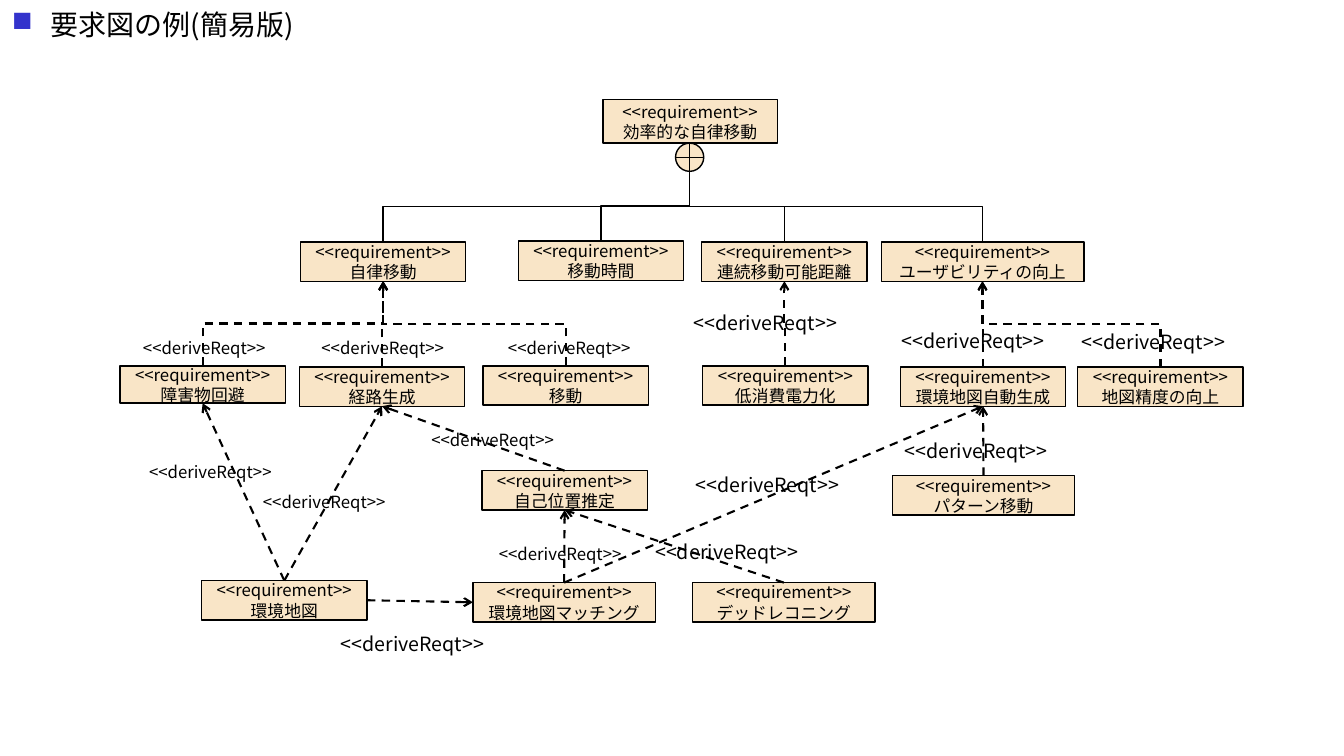
from dataclasses import dataclass

from lxml.etree import SubElement
from pptx import Presentation
from pptx.dml.color import RGBColor
from pptx.enum.dml import MSO_LINE
from pptx.enum.shapes import MSO_CONNECTOR, MSO_SHAPE
from pptx.enum.text import MSO_ANCHOR, MSO_AUTO_SIZE, PP_ALIGN
from pptx.oxml.ns import qn
from pptx.shapes.autoshape import Shape
from pptx.shapes.connector import Connector
from pptx.slide import Slide
from pptx.util import Emu, Pt

FONT = "Noto Sans CJK JP"
BLACK, CREAM, BLUE = "000000", "F9E5C7", "3333CC"
TOP, LEFT, BOTTOM, RIGHT = range(4)


@dataclass(frozen=True)
class Box:
    """A rectangle in px, with the name of its requirement."""
    name: str
    left: int
    top: int
    width: int = 164
    height: int = 39

    def side(self, side: int) -> tuple[float, float]:
        """Return the middle of one side."""
        middle_x, middle_y = self.left + self.width / 2, self.top + self.height / 2
        return ((middle_x, self.top), (self.left, middle_y),
                (middle_x, self.top + self.height), (self.left + self.width, middle_y))[side]


@dataclass(frozen=True)
class Link:
    """A line from one box to another."""
    source: str
    target: str
    bent: bool = False
    start: int = TOP
    end: int = BOTTOM
    derived: bool = True


@dataclass(frozen=True)
class Label:
    """The place and text size of a derivation label."""
    left: int
    top: int
    size: int = 12


ROOT = Box("効率的な自律移動", 598, 99, 173, 43)
CIRCLE = Box("⊕", 670, 142, 28, 28)
GOALS = [
    Box("自律移動", 298, 240),
    Box("移動時間", 514, 239),
    Box("連続移動可能距離", 696, 240),
    Box("ユーザビリティの向上", 874, 240, 201),
]
DETAILS = [
    Box("経路生成", 297, 364),
    Box("障害物回避", 119, 363, height=37),
    Box("移動", 479, 363),
    Box("低消費電力化", 697, 363),
    Box("環境地図自動生成", 893, 364),
    Box("地図精度の向上", 1069, 364),
    Box("自己位置推定", 478, 467),
    Box("パターン移動", 885, 472, 181),
    Box("環境地図", 200, 576),
    Box("環境地図マッチング", 469, 578, 181),
    Box("デッドレコニング", 687, 578, 181),
]
LINKS = [Link(CIRCLE.name, goal.name, True, BOTTOM, TOP, False) for goal in GOALS] + [
    Link("障害物回避", "自律移動", True),
    Link("経路生成", "自律移動", True),
    Link("移動", "自律移動", True),
    Link("低消費電力化", "連続移動可能距離", True),
    Link("環境地図自動生成", "ユーザビリティの向上", True),
    Link("地図精度の向上", "ユーザビリティの向上", True),
    Link("環境地図", "障害物回避"),
    Link("環境地図", "経路生成"),
    Link("自己位置推定", "経路生成"),
    Link("環境地図マッチング", "自己位置推定"),
    Link("環境地図", "環境地図マッチング", start=RIGHT, end=LEFT),
    Link("デッドレコニング", "自己位置推定"),
    Link("環境地図マッチング", "環境地図自動生成"),
    Link("パターン移動", "環境地図自動生成"),
]
LABELS = [
    Label(132, 330), Label(309, 330), Label(494, 330), Label(138, 453),
    Label(251, 483), Label(418, 421), Label(485, 535),
    Label(678, 304, 14), Label(884, 321, 14), Label(1063, 322, 14),
    Label(887, 431, 14), Label(680, 464, 14), Label(640, 531, 14), Label(328, 622, 14),
]


def px(length: float) -> Emu:
    """Convert px to EMU at 100 px to the inch."""
    return Emu(round(length * 9144))


def color(value: str) -> RGBColor:
    """Return the colour of a hex string."""
    return RGBColor.from_string(value)


def write(shape: Shape, *lines: str, size: int = 12, align: PP_ALIGN = PP_ALIGN.LEFT,
          anchor: MSO_ANCHOR = MSO_ANCHOR.TOP, wrap: bool = True, bullet: str = "",
          spacing: float | None = None) -> None:
    """Write lines of text into a shape."""
    frame = shape.text_frame
    frame.word_wrap, frame.vertical_anchor = wrap, anchor
    if not wrap:
        frame.auto_size = MSO_AUTO_SIZE.SHAPE_TO_FIT_TEXT
    for index, line in enumerate(lines):
        paragraph = frame.add_paragraph() if index else frame.paragraphs[0]
        paragraph.alignment, paragraph.line_spacing = align, spacing
        if bullet:
            properties = paragraph._p.get_or_add_pPr()
            properties.set("marL", str(px(38)))
            properties.set("indent", str(px(-38)))
            SubElement(SubElement(properties, qn("a:buClr")), qn("a:srgbClr"), val=BLUE)
            SubElement(properties, qn("a:buChar"), char=bullet)
        run = paragraph.add_run()
        run.text = line
        run.font.size, run.font.name = Pt(size), FONT
        run.font.color.rgb = color(BLACK)
        SubElement(run._r.get_or_add_rPr(), qn("a:ea"), typeface=FONT)


def add_text(slide: Slide, left: int, top: int, width: int, height: int) -> Shape:
    """Add an empty text box."""
    return slide.shapes.add_textbox(px(left), px(top), px(width), px(height))


def add_box(slide: Slide, box: Box, kind: MSO_SHAPE = MSO_SHAPE.RECTANGLE) -> Shape:
    """Add a cream shape with a black outline."""
    shape = slide.shapes.add_shape(kind, px(box.left), px(box.top), px(box.width), px(box.height))
    shape.shadow.inherit = False
    shape.fill.solid()
    shape.fill.fore_color.rgb = color(CREAM)
    shape.line.color.rgb, shape.line.width = color(BLACK), Pt(1)
    return shape


def add_line(slide: Slide, start: tuple[float, float], end: tuple[float, float],
             bent: bool = False, derived: bool = False) -> Connector:
    """Add a line; a bent one leaves and arrives vertically."""
    (x1, y1), (x2, y2) = start, end
    kind = MSO_CONNECTOR.STRAIGHT
    if bent:
        kind = MSO_CONNECTOR.ELBOW
        center_x, center_y = (x1 + x2) / 2, (y1 + y2) / 2
        half_x, half_y = (x2 - x1) / 2, (y2 - y1) / 2
        x1, y1 = center_x - half_y, center_y + half_x
        x2, y2 = center_x + half_y, center_y - half_x
    connector = slide.shapes.add_connector(kind, px(x1), px(y1), px(x2), px(y2))
    properties = connector._element.spPr
    if bent:
        properties.find(qn("a:xfrm")).set("rot", str(90 * 60000))
    line = connector.line
    line.color.rgb, line.width = color(BLACK), Pt(1.5 if derived else 1)
    if derived:
        line.dash_style = MSO_LINE.DASH
        SubElement(properties.find(qn("a:ln")), qn("a:tailEnd"), type="arrow")
    SubElement(properties, qn("a:effectLst"))
    return connector


def main() -> None:
    """Build the requirement diagram."""
    presentation = Presentation()
    presentation.slide_width, presentation.slide_height = px(1333), px(750)
    slide = presentation.slides.add_slide(presentation.slide_layouts[6])
    write(add_text(slide, 2, 6, 372, 60), "要求図の例(簡易版)", size=20, bullet="■", spacing=0.9)

    boxes = {box.name: box for box in [ROOT, *GOALS, *DETAILS]}
    shapes = {name: add_box(slide, box) for name, box in boxes.items()}
    for name, shape in shapes.items():
        write(shape, "<<requirement>>", name, align=PP_ALIGN.CENTER, anchor=MSO_ANCHOR.MIDDLE)

    add_box(slide, CIRCLE, MSO_SHAPE.OVAL)
    for start, end in ((LEFT, RIGHT), (BOTTOM, TOP)):
        add_line(slide, CIRCLE.side(start), CIRCLE.side(end))
    boxes[CIRCLE.name] = CIRCLE
    for link in LINKS:
        connector = add_line(slide, boxes[link.source].side(link.start),
                             boxes[link.target].side(link.end), link.bent, link.derived)
        if not link.bent:
            connector.begin_connect(shapes[link.source], link.start)
            connector.end_connect(shapes[link.target], link.end)
    for label in LABELS:
        width, height = (175, 34) if label.size == 14 else (153, 30)
        write(add_text(slide, label.left, label.top, width, height), "<<deriveReqt>>",
              size=label.size, wrap=False)
    presentation.save("out.pptx")


if __name__ == "__main__":
    main()
